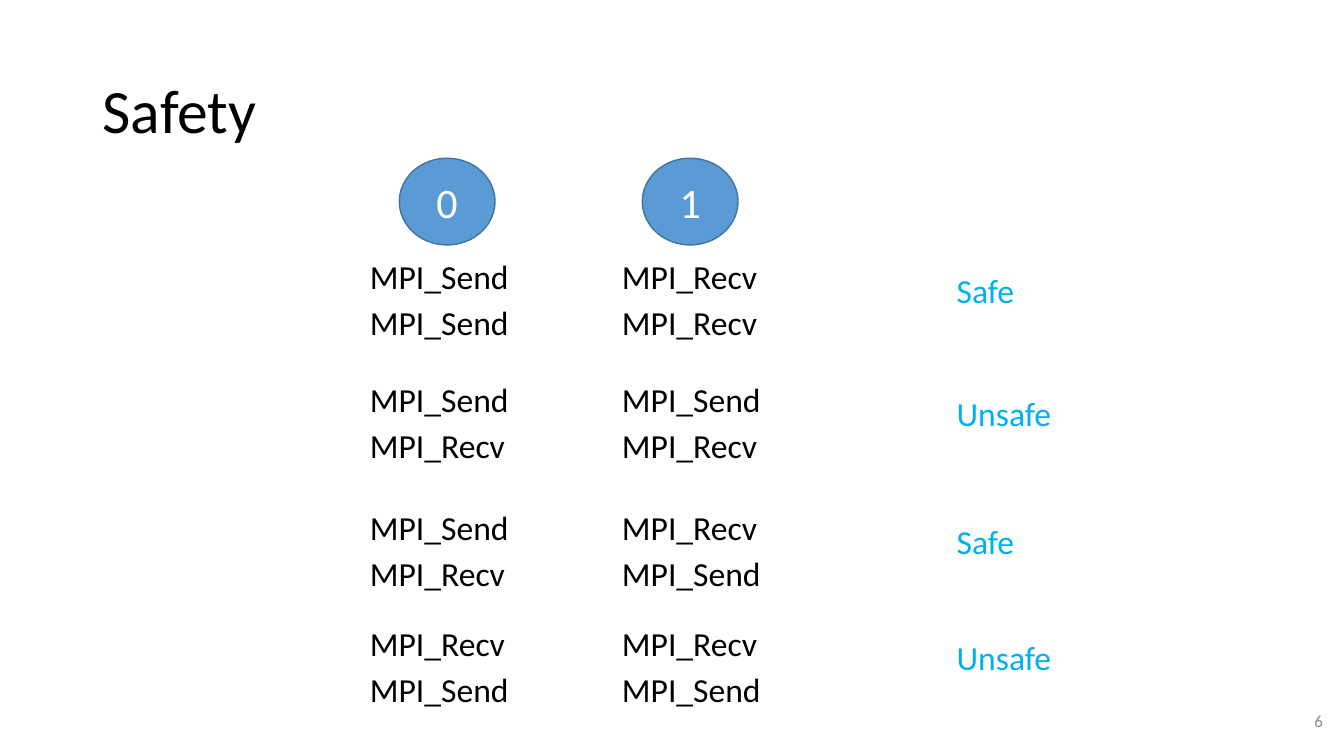
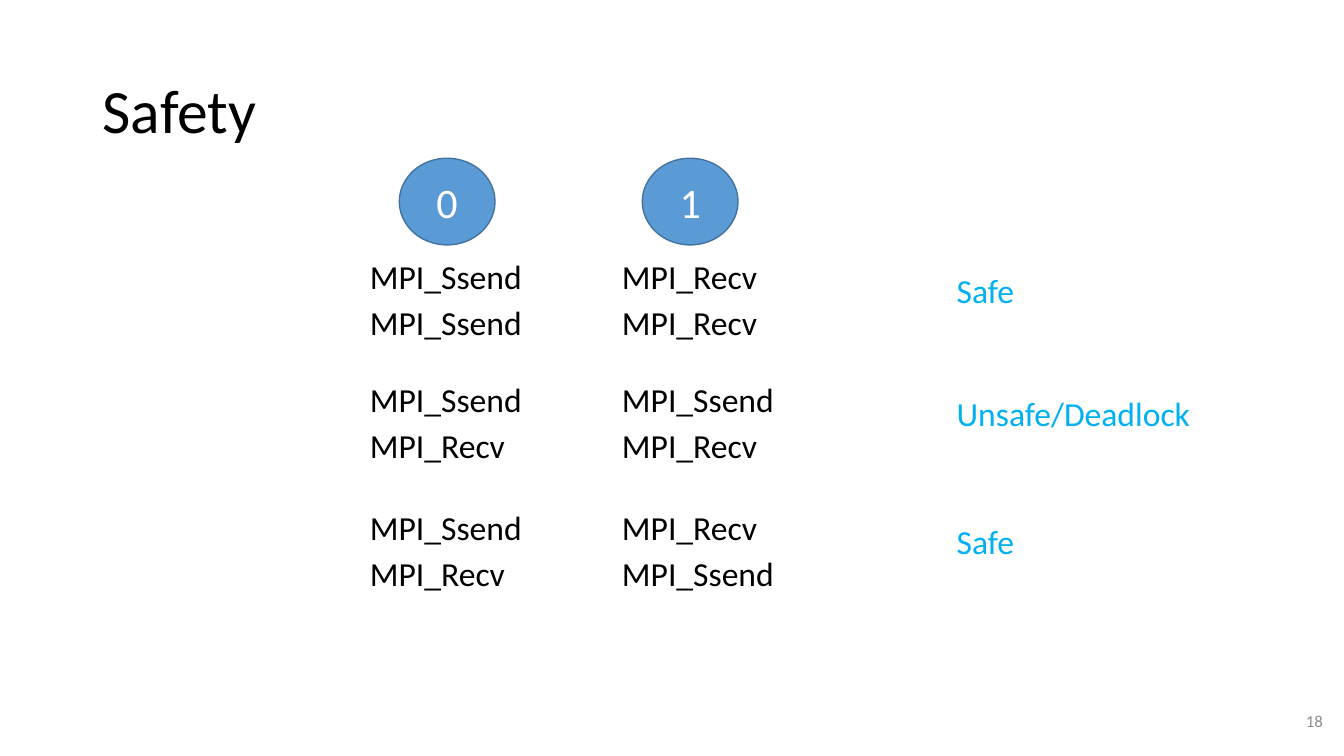
from pptx import Presentation
from pptx.dml.color import RGBColor
from pptx.enum.shapes import MSO_SHAPE
from pptx.enum.text import MSO_ANCHOR, MSO_AUTO_SIZE, PP_ALIGN
from pptx.util import Inches, Pt

FONT = "Calibri"
COLORS = {
    "text": "000000",
    "verdict": "00B0F0",
    "rank_fill": "5B9BD5",
    "rank_line": "43739E",
    "rank_text": "FFFFFF",
    "number": "8C8C8C",
}

# Shared layout, in inches
RANK_X = [3.96, 6.37]
CALL_X = [3.57, 6.07]
VERDICT_X = 9.39
CASE_Y = [2.49, 3.71, 4.98, 6.13]
CALL_STEP = 0.46
VERDICT_DROP = 0.14
LABEL_H = 0.5
LABEL_W = {
    "MPI_Send": 1.59,
    "MPI_Ssend": 1.72,
    "MPI_Recv": 1.55,
    "Safe": 0.78,
    "Unsafe": 1.15,
    "Unsafe/Deadlock": 2.54,
}

# Each case: calls of rank 0, calls of rank 1, verdict
SEND, SSEND, RECV = "MPI_Send", "MPI_Ssend", "MPI_Recv"
SLIDES = [
    ("6", [
        ([SEND, SEND], [RECV, RECV], "Safe"),
        ([SEND, RECV], [SEND, RECV], "Unsafe"),
        ([SEND, RECV], [RECV, SEND], "Safe"),
        ([RECV, SEND], [RECV, SEND], "Unsafe"),
    ]),
    ("18", [
        ([SSEND, SSEND], [RECV, RECV], "Safe"),
        ([SSEND, RECV], [SSEND, RECV], "Unsafe/Deadlock"),
        ([SSEND, RECV], [RECV, SSEND], "Safe"),
    ]),
]


def set_text(sp, text, size, color, align=PP_ALIGN.LEFT, anchor=MSO_ANCHOR.MIDDLE):
    tf = sp.text_frame
    tf.word_wrap = True
    tf.vertical_anchor = anchor
    p = tf.paragraphs[0]
    p.alignment = align
    r = p.add_run()
    r.text = text
    r.font.name = FONT
    r.font.size = Pt(size)
    r.font.color.rgb = RGBColor.from_string(COLORS[color])
    return tf


def add_label(s, text, x, y, color):
    sp = s.shapes.add_textbox(Inches(x), Inches(y), Inches(LABEL_W[text]), Inches(LABEL_H))
    tf = set_text(sp, text, 24, color, anchor=MSO_ANCHOR.TOP)
    tf.word_wrap = False
    tf.auto_size = MSO_AUTO_SIZE.SHAPE_TO_FIT_TEXT


prs = Presentation()
prs.slide_width = Inches(13.33)
prs.slide_height = Inches(7.5)

for number, cases in SLIDES:
    s = prs.slides.add_slide(prs.slide_layouts[6])

    # Title
    sp = s.shapes.add_textbox(Inches(0.92), Inches(0.4), Inches(11.5), Inches(1.45))
    tf = set_text(sp, "Safety", 44, "text")
    tf.paragraphs[0].line_spacing = 0.9

    # Process ranks
    for rank, x in enumerate(RANK_X):
        sp = s.shapes.add_shape(MSO_SHAPE.OVAL, Inches(x), Inches(1.57), Inches(0.95), Inches(0.86))
        sp.shadow.inherit = False
        sp.fill.solid()
        sp.fill.fore_color.rgb = RGBColor.from_string(COLORS["rank_fill"])
        sp.line.color.rgb = RGBColor.from_string(COLORS["rank_line"])
        sp.line.width = Pt(1)
        set_text(sp, str(rank), 30, "rank_text", PP_ALIGN.CENTER)

    # Call sequences and their verdicts
    for y, (*ranks, verdict) in zip(CASE_Y, cases):
        for x, calls in zip(CALL_X, ranks):
            for i, call in enumerate(calls):
                add_label(s, call, x, y + i * CALL_STEP, "text")
        add_label(s, verdict, VERDICT_X, y + VERDICT_DROP, "verdict")

    # Slide number
    sp = s.shapes.add_textbox(Inches(9.42), Inches(6.95), Inches(3.8), Inches(0.4))
    set_text(sp, number, 12, "number", PP_ALIGN.RIGHT)

prs.save("out.pptx")
